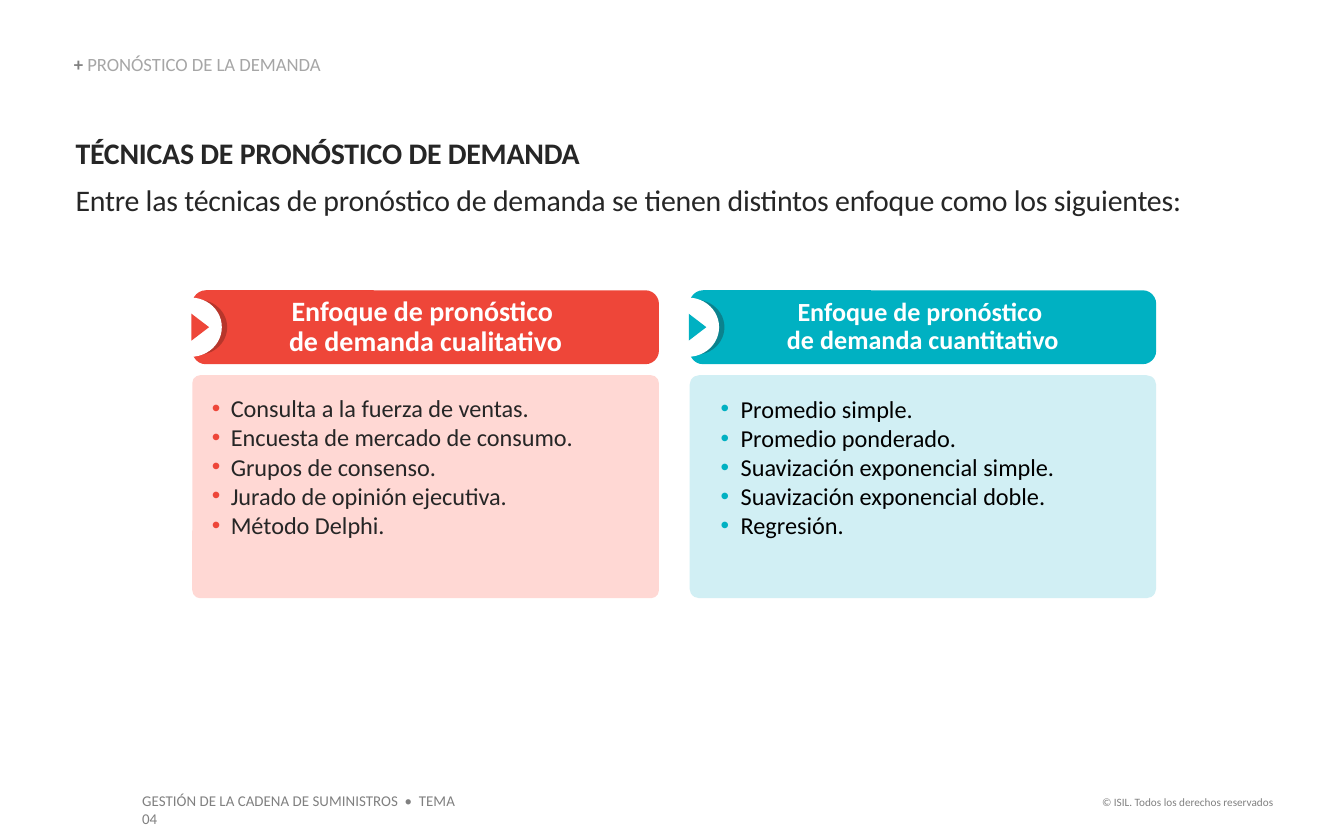
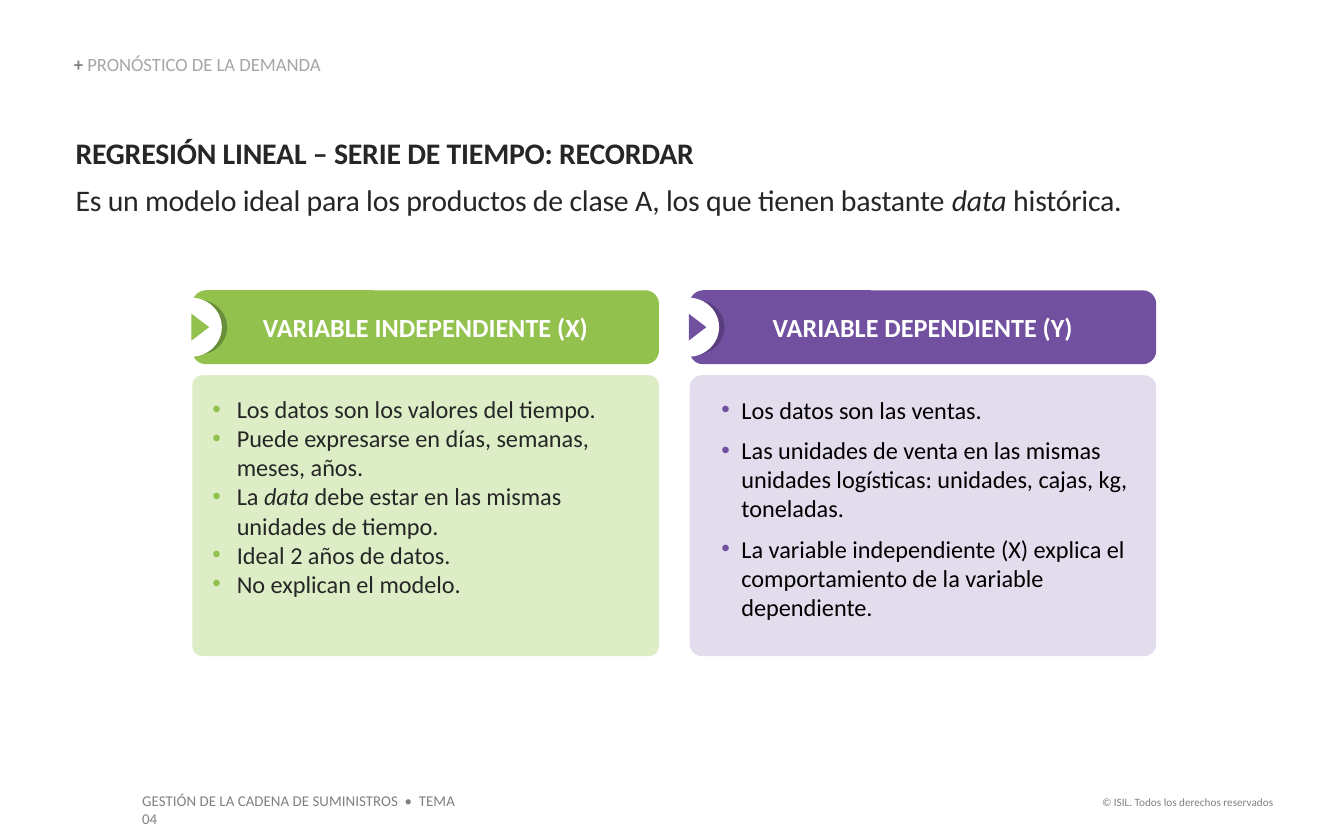
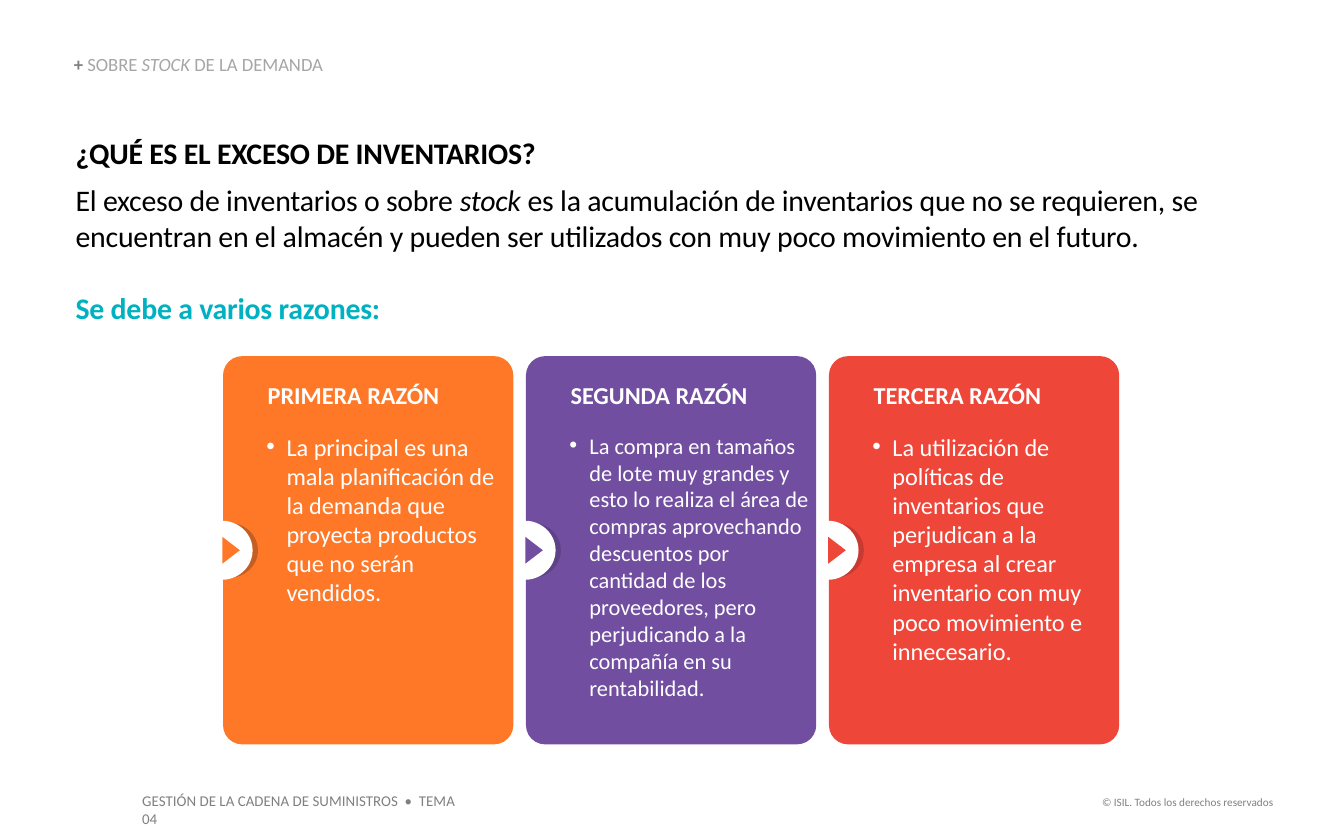
from collections import namedtuple
from dataclasses import dataclass

from lxml import etree
from pptx import Presentation
from pptx.dml.color import RGBColor as RGB
from pptx.enum.shapes import MSO_SHAPE as SHAPE
from pptx.enum.text import MSO_ANCHOR as ANCHOR, MSO_AUTO_SIZE as AUTO_SIZE, PP_ALIGN as ALIGN
from pptx.oxml.ns import qn
from pptx.util import Pt


@dataclass(frozen=True)
class Theme:
    font: str = "Calibri"
    white: str = "FFFFFF"
    black: str = "000000"
    ink: str = "262626"
    muted: str = "808080"
    pale: str = "A6A6A6"
    teal: str = "00B1C2"
    red: str = "EE4639"
    green: str = "92C14E"
    purple: str = "7150A0"
    violet: str = "714EA0"
    orange: str = "FE7828"
    heading: float = 16
    list_text: float = 13
    section: float = 10
    footer: float = 8
    rights: float = 6


theme = Theme()
Panel = namedtuple("Panel", "top height radius fill insets anchor texts")
Card = namedtuple("Card", "fill shade panels")
Column = namedtuple("Column", "fill shade tint title title_style ink radius indent space_after items")
Page = namedtuple("Page", "section heading_width heading_height heading left step width badge_y cards")


def write(frame, text, size, color, bold=False, align=ALIGN.LEFT, marker="", bullet=None,
          indent=(0, 0), line=None, before=None, after=None, tracking=0):
    """Add one paragraph; *stars* mark italics, and marker is a bold lead-in."""
    paragraph = frame.paragraphs[0]
    if paragraph.runs:
        paragraph = frame.add_paragraph()
    props = paragraph._p.get_or_add_pPr()
    props.set("marL", str(Pt(indent[0])))
    props.set("indent", str(Pt(indent[1])))
    if bullet:
        tint = etree.SubElement(props, qn("a:buClr"))
        etree.SubElement(tint, qn("a:srgbClr"), val=bullet)
        etree.SubElement(props, qn("a:buFont"), typeface="Arial")
        etree.SubElement(props, qn("a:buChar"), char="•")
    font = paragraph.font
    font.name, font.size, font.bold = theme.font, Pt(size), bold
    font.color.rgb = RGB.from_string(color)
    if tracking:
        props.find(qn("a:defRPr")).set("spc", str(tracking))
    paragraph.alignment = align
    paragraph.line_spacing = line
    paragraph.space_before = None if before is None else Pt(before)
    paragraph.space_after = None if after is None else Pt(after)
    if marker:
        lead = paragraph.add_run()
        lead.text = marker
        lead.font.bold = True
        lead.font.color.rgb = RGB.from_string(theme.muted)
    for row, words in enumerate(text.split("\n")):
        if row:
            paragraph.add_line_break()
        for part, piece in enumerate(words.split("*")):
            run = paragraph.add_run()
            run.text = piece
            if part % 2:
                run.font.italic = True


def add_block(slide, kind, box, fill):
    block = slide.shapes.add_shape(kind, *map(Pt, box))
    block.shadow.inherit = False
    block.fill.solid()
    block.fill.fore_color.rgb = RGB.from_string(fill)
    block.line.fill.background()
    return block


# Two-column content
methods = [
    Column(theme.red, "B7362B", "FFD8D4", "Enfoque de pronóstico \nde demanda cualitativo",
           dict(size=15, line=0.9), theme.ink, 0.036, (10.8, -10.1), 0,
           ["Consulta a la fuerza de ventas.", "Encuesta de mercado de consumo.",
            "Grupos de consenso.", "Jurado de opinión ejecutiva.", "Método Delphi."]),
    Column(theme.teal, "0B828E", "D1EFF4", "Enfoque de pronóstico \nde demanda cuantitativo",
           dict(size=14, line=0.9), theme.black, 0.044, (17.3, -10.8), 0,
           ["Promedio simple.", "Promedio ponderado.", "Suavización exponencial simple.",
            "Suavización exponencial doble.", "Regresión."]),
]
variables = [
    Column(theme.green, "6A8F3A", "DDEEC7", "VARIABLE INDEPENDIENTE (X)",
           dict(size=14), theme.ink, 0.036, (13.7, -13), 0,
           ["Los datos son los valores del tiempo.",
            "Puede expresarse en días, semanas, meses, años.",
            "La *data* debe estar en las mismas unidades de tiempo.",
            "Ideal 2 años de datos.", "No explican el modelo."]),
    Column(theme.purple, "593E7F", "E3DCED", "VARIABLE DEPENDIENTE (Y)",
           dict(size=14), theme.black, 0.044, (17.3, -10.8), 6,
           ["Los datos son las ventas.",
            "Las unidades de venta en las mismas unidades logísticas: unidades, cajas, kg, toneladas.",
            "La variable independiente (X) explica el comportamiento de la variable dependiente."]),
]
column_sets = []
for columns, list_height in ((methods, 119.5), (variables, 150.5)):
    cards = []
    for col in columns:
        title = dict(text=col.title, color=theme.white, bold=True, align=ALIGN.CENTER, **col.title_style)
        items = [dict(text=item, size=theme.list_text, color=col.ink, bullet=col.fill,
                      indent=col.indent, after=col.space_after) for item in col.items]
        cards.append(Card(col.fill, col.shade, [
            Panel(155.5, 39.6, 0.183, col.fill, (7.2, 3.6, 7.2, 3.6), ANCHOR.MIDDLE, [title]),
            Panel(201, list_height, col.radius, col.tint, (8.6, 8.6, 8.6, 3.6), ANCHOR.TOP, items)]))
    column_sets.append(cards)

# Three reasons
reasons = []
for fill, shade, title, reason, size in (
    (theme.orange, "C45E23", "PRIMERA RAZÓN",
     "La principal es una mala planificación de la demanda que proyecta productos que no serán vendidos.", 13),
    (theme.violet, "5E4287", "SEGUNDA RAZÓN",
     "La compra en tamaños de lote muy grandes y esto lo realiza el área de compras aprovechando "
     "descuentos por cantidad de los proveedores, pero perjudicando a la compañía en su rentabilidad.", 12),
    (theme.red, "C73A31", "TERCERA RAZÓN",
     "La utilización de políticas de inventarios que perjudican a la empresa al crear inventario con "
     "muy poco movimiento e innecesario.", 13),
):
    texts = [dict(text=title, size=theme.list_text, color=theme.white, bold=True,
                  indent=(0.7, 0), line=0.9, after=12),
             dict(text=reason, size=size, color=theme.white, bullet=theme.white, indent=(10.8, -10.8))]
    reasons.append(Card(fill, shade, [
        Panel(190.8, 208, 0.066, fill, (20.2, 11.5, 0, 3.6), ANCHOR.TOP, texts)]))

pages = [
    Page("PRONÓSTICO DE LA DEMANDA", 625, 44.6, [
        dict(text="TÉCNICAS DE PRONÓSTICO DE DEMANDA", color=theme.ink, bold=True, after=6),
        dict(text="Entre las técnicas de pronóstico de demanda se tienen distintos enfoque como los siguientes:",
             color=theme.ink)],
        103, 266.4, 250, 175.3, column_sets[0]),
    Page("PRONÓSTICO DE LA DEMANDA", 636.5, 44.6, [
        dict(text="REGRESIÓN LINEAL – SERIE DE TIEMPO: RECORDAR", color=theme.ink, bold=True, after=6),
        dict(text="Es un modelo ideal para los productos de clase A, los que tienen bastante *data* histórica.",
             color=theme.ink)],
        103, 266.4, 250, 175.3, column_sets[1]),
    Page("SOBRE *STOCK* DE LA DEMANDA", 605, 103, [
        dict(text="¿QUÉ ES EL EXCESO DE INVENTARIOS?", color=theme.black, bold=True, after=6),
        dict(text="El exceso de inventarios o sobre *stock* es la acumulación de inventarios que no se requieren, "
                  "se encuentran en el almacén y pueden ser utilizados con muy poco movimiento en el futuro.",
             color=theme.black),
        dict(text="Se debe a varios razones:", color=theme.teal, bold=True, before=19.5)],
        119.5, 162.3, 155.5, 294.8, reasons),
]

prs = Presentation()
prs.slide_width, prs.slide_height = Pt(720), Pt(450)
layout = prs.slide_layouts[5]
slides = [prs.slides.add_slide(layout) for _ in pages]

# Footers live on the shared layout
footers = [
    ((567.4, 422.6, 121.7, 14.4), "© ISIL. Todos los derechos reservados", theme.rights, ALIGN.RIGHT),
    ((69.1, 420.5, 191.5, 17.3), "GESTIÓN DE LA CADENA DE SUMINISTROS  •  TEMA 04", theme.footer, ALIGN.LEFT),
]
for number, (box, text, size, align) in enumerate(footers, 20):
    footer = slides[0].shapes.add_textbox(*map(Pt, box))
    footer.text_frame.word_wrap = True
    write(footer.text_frame, text, size, theme.muted, align=align)
    footer.element.nvSpPr.cNvPr.set("id", str(number))
    layout.shapes.element.insert_element_before(footer.element, "p:extLst")

for slide, page in zip(slides, pages):
    section = slide.shapes.title
    section.left, section.top, section.width, section.height = map(Pt, (39.6, 29.5, 335, 11))
    heading = slide.shapes.add_textbox(Pt(39.8), Pt(72), Pt(page.heading_width), Pt(page.heading_height))
    for frame in (section.text_frame, heading.text_frame):
        frame.margin_left = frame.margin_top = frame.margin_right = frame.margin_bottom = 0
        frame.word_wrap = True
        frame.auto_size = AUTO_SIZE.NONE
    section.text_frame.vertical_anchor = ANCHOR.BOTTOM
    write(section.text_frame, page.section, theme.section, theme.pale, marker="+ ", line=0.9)
    for style in page.heading:
        write(heading.text_frame, size=theme.heading, indent=(0.7, 0), tracking=-10, **style)

    # Right to left, so that each card covers the outer half of its neighbour's badge
    for index, card in reversed(list(enumerate(page.cards))):
        left = page.left + index * page.step
        for panel in card.panels:
            block = add_block(slide, SHAPE.ROUNDED_RECTANGLE,
                              (left, panel.top, page.width, panel.height), panel.fill)
            block.adjustments[0] = panel.radius
            frame = block.text_frame
            frame.word_wrap = True
            frame.vertical_anchor = panel.anchor
            (frame.margin_left, frame.margin_top,
             frame.margin_right, frame.margin_bottom) = map(Pt, panel.insets)
            for style in panel.texts:
                write(frame, **style)
        for kind, offset, width, height, fill, turn in (
            (SHAPE.OVAL, 3.2, 31, 29.5, card.shade, 0),
            (SHAPE.OVAL, -0.7, 33.1, 31.7, theme.white, 0),
            (SHAPE.ISOSCELES_TRIANGLE, 4.3, 14.4, 9.4, card.fill, 90),
        ):
            box = (left + offset - width / 2, page.badge_y - height / 2, width, height)
            add_block(slide, kind, box, fill).rotation = turn

prs.save("out.pptx")
